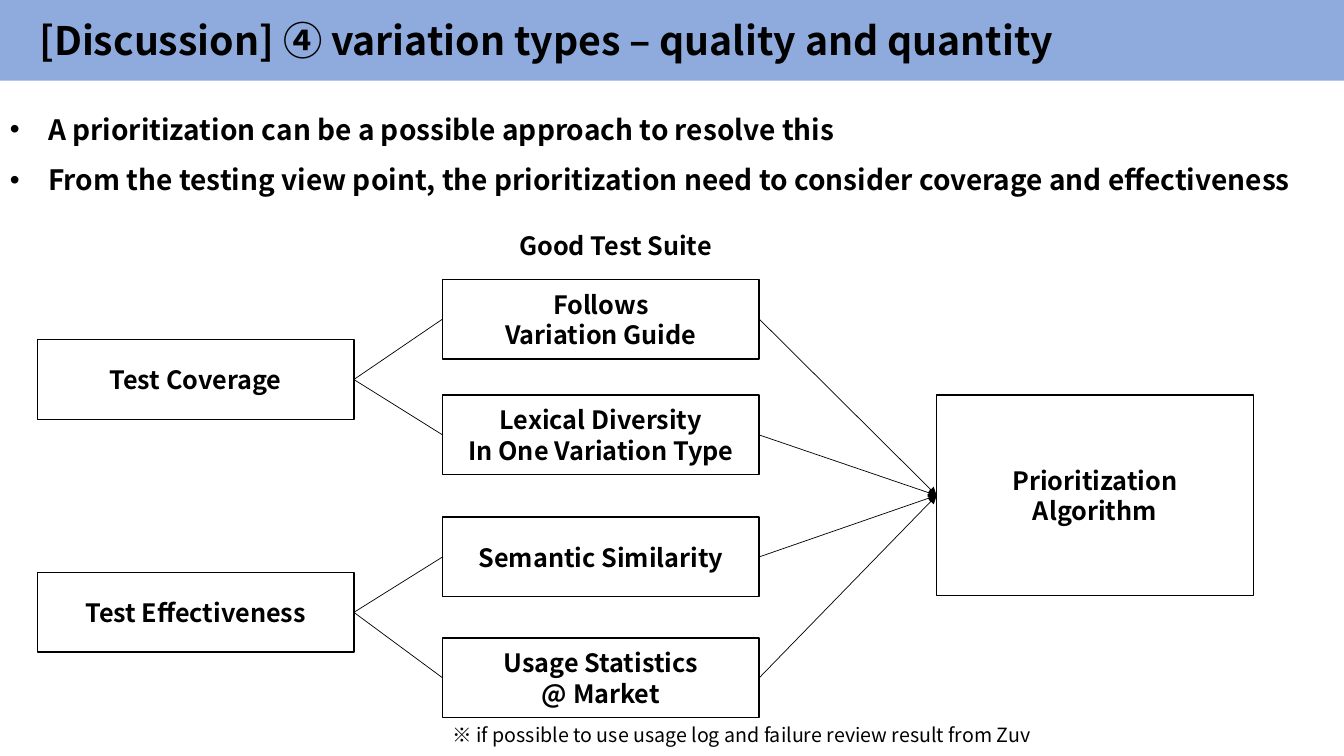
from lxml import etree
from pptx import Presentation, util as u
from pptx.dml.color import RGBColor
from pptx.enum import shapes, text
from pptx.oxml.ns import qn

HUE = {"bar": "8FAADC", "ink": "000000"}
FONT = "Noto Sans CJK KR"
W, H = 13.33, 7.5

deck = Presentation()
deck.slide_width, deck.slide_height = u.Inches(W), u.Inches(H)
page = deck.slides.add_slide(deck.slide_layouts[6])
ink = RGBColor.from_string(HUE["ink"])


def write(item, lines, size, bold=True, align=text.PP_ALIGN.CENTER, bullet=False):
    frame = item.text_frame
    frame.text = "\n".join(lines)
    for para in frame.paragraphs:
        para.alignment = align
        if bullet:
            para.line_spacing = 1.5
            props = para._p.get_or_add_pPr()
            props.set("marL", str(u.Inches(0.38)))
            props.set("indent", str(-u.Inches(0.38)))
            etree.SubElement(props, qn("a:buFont"), typeface="Arial")
            etree.SubElement(props, qn("a:buChar"), char="•")
        font = para.font
        font.name, font.size, font.bold = FONT, u.Pt(size), bold
        font.color.rgb = ink
    return frame


def block(x, y, w, h, lines, size=18, **style):
    rect = page.shapes.add_shape(shapes.MSO_SHAPE.RECTANGLE, *map(u.Inches, (x, y, w, h)))
    rect.shadow.inherit = False
    rect.fill.background()
    rect.line.color.rgb = ink
    rect.line.width = u.Pt(1)
    write(rect, lines, size, **style).vertical_anchor = text.MSO_ANCHOR.MIDDLE
    return rect


# Title bar
bar = block(0, 0, W, 0.8, ["[Discussion] ④ variation types – quality and quantity"],
            28, align=text.PP_ALIGN.LEFT)
bar.fill.solid()
bar.fill.fore_color.rgb = RGBColor.from_string(HUE["bar"])
bar.line.fill.background()
bar.text_frame.margin_left = u.Inches(0.39)

# Bullets, heading of the middle column, footnote
left, mid = text.PP_ALIGN.LEFT, text.PP_ALIGN.CENTER
points = ["A prioritization can be a possible approach to resolve this",
          "From the testing view point, the prioritization need to consider coverage and effectiveness"]
note = ["※ if possible to use usage log and failure review result from Zuv"]
for spot, lines, size, bold, align, list_on in [
        ((0, 0.9, W, 1.05), points, 20, True, left, True),
        ((5.05, 2.24, 2.11, 0.4), ["Good Test Suite"], 18, True, mid, False),
        ((4.39, 7.12, 5.97, 0.34), note, 14, False, left, False)]:
    label = page.shapes.add_textbox(*map(u.Inches, spot))
    frame = write(label, lines, size, bold, align, list_on)
    frame.word_wrap = list_on
    frame.auto_size = text.MSO_AUTO_SIZE.SHAPE_TO_FIT_TEXT

# Three columns of boxes
cols, wide, high = (0.37, 4.39, 9.29), 3.14, 0.79
goals = [block(cols[0], y, wide, high, [name])
         for y, name in [(3.37, "Test Coverage"), (5.68, "Test Effectiveness")]]
traits = [block(cols[1], y, wide, high, lines) for y, lines in [
    (2.77, ["Follows", "Variation Guide"]),
    (3.92, ["Lexical Diversity", "In One Variation Type"]),
    (5.13, ["Semantic Similarity"]),
    (6.33, ["Usage Statistics", "@ Market"])]]
final = block(cols[2], 3.92, wide, 1.99, ["Prioritization", "Algorithm"])

# Each goal joins two traits; every trait points to the algorithm
links = [(goals[i // 2], trait, False) for i, trait in enumerate(traits)]
links += [(trait, final, True) for trait in traits]
for start, end, arrow in links:
    link = page.shapes.add_connector(shapes.MSO_CONNECTOR.STRAIGHT, 0, 0, 0, 0)
    link.begin_connect(start, 3)
    link.end_connect(end, 1)
    link.line.color.rgb = ink
    link.line.width = u.Pt(0.5)
    if arrow:
        etree.SubElement(link.line._get_or_add_ln(), qn("a:tailEnd"), type="triangle")
    etree.SubElement(link._element.spPr, qn("a:effectLst"))

deck.save("out.pptx")
